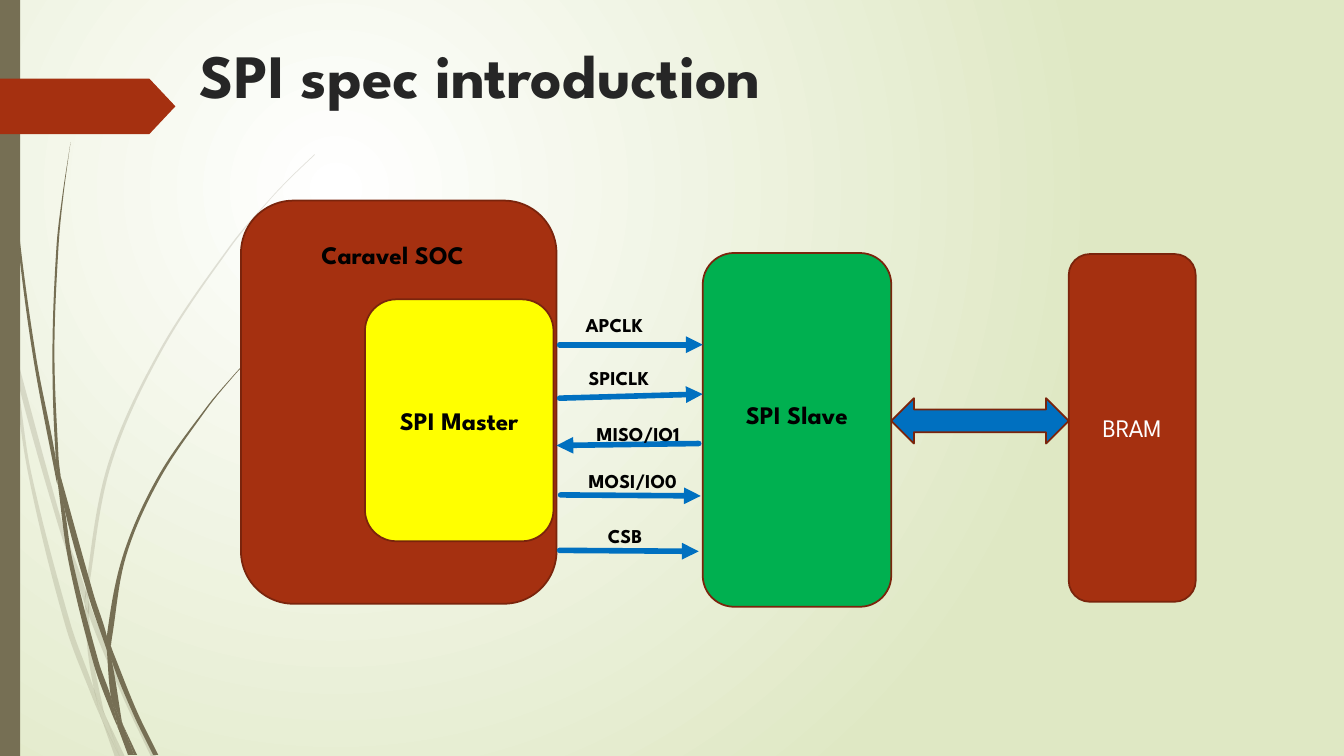
from math import dist

from lxml import etree
from pptx import Presentation
from pptx.dml.color import RGBColor
from pptx.enum.shapes import MSO_CONNECTOR as Connector, MSO_SHAPE as Shape
from pptx.enum.text import MSO_ANCHOR as Anchor, PP_ALIGN as Align
from pptx.oxml.ns import qn
from pptx.util import Pt

PX = 9144  # one px is a hundredth of an inch
WIDTH, HEIGHT = 1333, 750
FONT = "League Spartan"
OLIVE, RUST, RUST_LINE, BLUE = "766F54", "A53010", "7A240C", "0070C0"

# Left and right edge of each piece of the curved grass
LIGHT_BLADES = [
    ([(0, 282), (9, 322), (11, 350)], [(0, 299), (10, 344), (11, 350)]),
    ([(14, 345), (17, 376), (58, 522), (84, 599)], [(14, 345), (62, 520), (85, 586), (84, 599)]),
    ([(88, 596), (88, 610), (123, 694), (150, 751)],
     [(88, 596), (92, 607), (127, 692), (155, 751)]),
    ([(105, 711), (119, 751)], [(105, 711), (124, 751)]),
    ([(11, 350), (28, 470), (65, 621), (92, 693), (101, 714)],
     [(11, 350), (17, 376), (31, 469), (70, 619), (93, 683), (99, 707), (101, 714)]),
    ([(84, 599), (87, 646), (93, 683), (96, 692), (105, 711)],
     [(84, 599), (88, 610), (91, 646), (103, 706), (105, 711)]),
    ([(312, 153), (289, 175), (268, 197), (228, 244), (158, 348), (107, 461), (85, 584), (88, 596)],
     [(312, 154), (290, 175), (268, 198), (229, 245), (160, 349), (110, 462), (88, 584), (88, 596)]),
    ([(101, 714), (114, 751)], [(101, 714), (119, 751)]),
    ([(85, 586), (84, 599), (88, 610)], [(85, 586), (88, 596), (88, 610)]),
    ([(93, 683), (99, 707), (101, 714), (119, 751)],
     [(93, 683), (96, 692), (105, 711), (119, 751)]),
]
DARK_BLADES = [
    ([(3, 0), (4, 48), (7, 110), (17, 233), (33, 355), (56, 477), (57, 481)],
     [(4, 0), (5, 48), (8, 109), (19, 232), (36, 355), (55, 453), (57, 481)]),
    ([(60, 472), (64, 505), (88, 592), (106, 645)], [(60, 472), (93, 590), (106, 631), (106, 645)]),
    ([(110, 641), (111, 656), (132, 708), (152, 749)],
     [(110, 641), (113, 649), (136, 706), (157, 749)]),
    ([(57, 477), (68, 557), (93, 659), (111, 708), (117, 722)],
     [(57, 477), (64, 505), (72, 556), (98, 657), (110, 691), (116, 717), (117, 722)]),
    ([(70, 141), (62, 193), (56, 245), (52, 349), (55, 449), (60, 472)],
     [(70, 141), (63, 193), (58, 245), (54, 349), (58, 453), (60, 472)]),
    ([(122, 719), (133, 749)], [(122, 719), (136, 749)]),
    ([(55, 449), (57, 477), (64, 505)], [(55, 449), (60, 472), (64, 505)]),
    ([(260, 344), (245, 358), (231, 373), (204, 405), (156, 474), (122, 551), (106, 631),
      (110, 641)],
     [(261, 344), (245, 359), (231, 374), (205, 406), (158, 476), (125, 552), (111, 633),
      (110, 641)]),
    ([(117, 722), (127, 749)], [(117, 722), (131, 749)]),
    ([(106, 645), (110, 691), (116, 706), (122, 719)], [(106, 645), (111, 656), (121, 716), (122, 719)]),
    ([(106, 631), (106, 645), (111, 656)], [(106, 631), (110, 641), (111, 656)]),
    ([(110, 691), (116, 717), (117, 722), (130, 749)],
     [(110, 691), (116, 706), (122, 719), (133, 749)]),
]

# Name, label position and width, arrow start and arrow end inside the diagram
SIGNALS = [
    ("APCLK", (332, 107, 122), (316, 143), (458, 143)),
    ("SPICLK", (335, 159, 100), (316, 196), (458, 192)),
    ("MISO/IO1", (343, 215, 113), (454, 241), (313, 243)),
    ("MOSI/IO0", (335, 261, 210), (317, 292), (456, 293)),
    ("CSB", (354, 316, 100), (316, 347), (454, 348)),
]


def px(*lengths):
    return [round(length * PX) for length in lengths]


def color(value):
    return RGBColor.from_string(value)


def paint(shape, fill, line=None):
    shape.shadow.inherit = False
    shape.fill.solid()
    shape.fill.fore_color.rgb = color(fill)
    if line:
        shape.line.color.rgb = color(line)
        shape.line.width = Pt(1.25)
    else:
        shape.line.fill.background()


def add_block(slide, kind, box, fill, line=None):
    shape = slide.shapes.add_shape(kind, *px(*box))
    paint(shape, fill, line)
    return shape


def write(shape, text, size, text_color="000000", bold=True, align=Align.LEFT):
    frame = shape.text_frame
    frame.word_wrap = True
    frame.text = text
    paragraph = frame.paragraphs[0]
    paragraph.alignment = align
    font = paragraph.font
    font.name, font.size, font.bold = FONT, Pt(size), bold
    font.color.rgb = color(text_color)


def add_label(slide, box, text, size):
    write(slide.shapes.add_textbox(*px(*box)), text, size)


def add_arrow(slide, start, end):
    arrow = slide.shapes.add_connector(Connector.STRAIGHT, *px(*start, *end))
    arrow.line.color.rgb = color(BLUE)
    arrow.line.width = Pt(4)
    line = arrow.line._get_or_add_ln()
    line.set("cap", "rnd")
    etree.SubElement(line, qn("a:tailEnd"), type="triangle")
    etree.SubElement(arrow.element.spPr, qn("a:effectLst"))


def curve_through(points):
    """Bezier segments (control, control, end) that pass smoothly through the points."""
    padded = [points[0], *points, points[-1]]
    slopes = [((c[0] - a[0]) / dist(a, c), (c[1] - a[1]) / dist(a, c))
              for a, c in zip(padded, padded[2:])]
    segments = []
    for start, end, leave, arrive in zip(points, points[1:], slopes, slopes[1:]):
        reach = dist(start, end) / 3
        segments.append(((start[0] + leave[0] * reach, start[1] + leave[1] * reach),
                         (end[0] - arrive[0] * reach, end[1] - arrive[1] * reach), end))
    return segments


def set_background(slide):
    fill = slide.background.fill
    fill.gradient()
    for stop, value in zip(fill.gradient_stops, ("FFFFFF", "DFE8C4")):
        stop.color.rgb = color(value)
    gradient = slide.element.find(".//" + qn("a:gradFill"))
    gradient.remove(gradient.find(qn("a:lin")))
    circle = etree.SubElement(gradient, qn("a:path"), path="circle")
    etree.SubElement(circle, qn("a:fillToRect"), l="50000", t="50000", r="100000", b="100000")


def add_blades(slide, left, top, blades, alpha=100):
    for left_edge, right_edge in blades:
        tip = (left_edge[-1], right_edge[-1], right_edge[-1])
        segments = [*curve_through(left_edge), tip, *curve_through(right_edge[::-1])]
        segments = [[px(left + x, top + y) for x, y in segment] for segment in segments]
        start = px(left + left_edge[0][0], top + left_edge[0][1])
        builder = slide.shapes.build_freeform(*start)
        builder.add_line_segments([segment[2] for segment in segments], close=True)
        blade = builder.convert_to_shape()
        paint(blade, OLIVE)
        # Bend the straight sides
        sides = blade.element.findall(".//" + qn("a:lnTo"))
        for side, segment in zip(sides, segments):
            side.tag = qn("a:cubicBezTo")
            for index, (x, y) in enumerate(segment[:2]):
                point = etree.Element(qn("a:pt"), x=str(x - blade.left), y=str(y - blade.top))
                side.insert(index, point)
        if alpha < 100:
            tint = blade.element.spPr.find(".//" + qn("a:srgbClr"))
            etree.SubElement(tint, qn("a:alpha"), val=str(alpha * 1000))


def add_decoration(slide, left, top):
    add_blades(slide, left, top, LIGHT_BLADES, alpha=20)
    add_blades(slide, left, top, DARK_BLADES)
    add_block(slide, Shape.RECTANGLE, (left, top, 20, HEIGHT), OLIVE)
    banner = add_block(slide, Shape.PENTAGON, (left, top + 78, 174, 55), RUST)
    banner.adjustments[0] = 0.47


def set_title(slide, box, text):
    title = slide.shapes.title
    title.left, title.top, title.width, title.height = px(*box)
    write(title, text, 44, "262626")
    title.text_frame.vertical_anchor = Anchor.TOP


def add_diagram(slide, left, top):
    def place(x, y, *size):
        return left + x, top + y, *size

    # Blocks
    blocks = [
        ("", (0, 0, 313, 400), RUST, "FFFFFF", False),
        ("SPI Slave", (458, 52, 187, 351), "00B050", "000000", True),
        ("BRAM", (821, 53, 126, 345), RUST, "FFFFFF", False),
        ("SPI Master", (123, 98, 187, 240), "FFFF00", "000000", True),
    ]
    for name, box, fill, text_color, bold in blocks:
        block = add_block(slide, Shape.ROUNDED_RECTANGLE, place(*box), fill, RUST_LINE)
        if name:
            write(block, name, 18, text_color, bold, Align.CENTER)
            block.text_frame.vertical_anchor = Anchor.MIDDLE
        if name == "SPI Slave":
            block.text_frame.margin_bottom = 36 * PX
    add_label(slide, place(70, 34, 179, 40), "Caravel SOC", 18)

    # Signals between master and slave
    for name, label, start, end in SIGNALS:
        add_arrow(slide, place(*start), place(*end))
        add_label(slide, place(*label, 34), name, 14)

    # Link between slave and memory
    add_block(slide, Shape.LEFT_RIGHT_ARROW, place(645, 196, 176, 45), BLUE, RUST_LINE)


def main():
    presentation = Presentation()
    presentation.slide_width, presentation.slide_height = px(WIDTH, HEIGHT)
    slide = presentation.slides.add_slide(presentation.slide_layouts[5])
    set_background(slide)
    add_decoration(slide, 0, 0)
    set_title(slide, (188, 32, 975, 140), "SPI spec introduction")
    add_diagram(slide, 239, 199)
    presentation.save("out.pptx")


if __name__ == "__main__":
    main()
